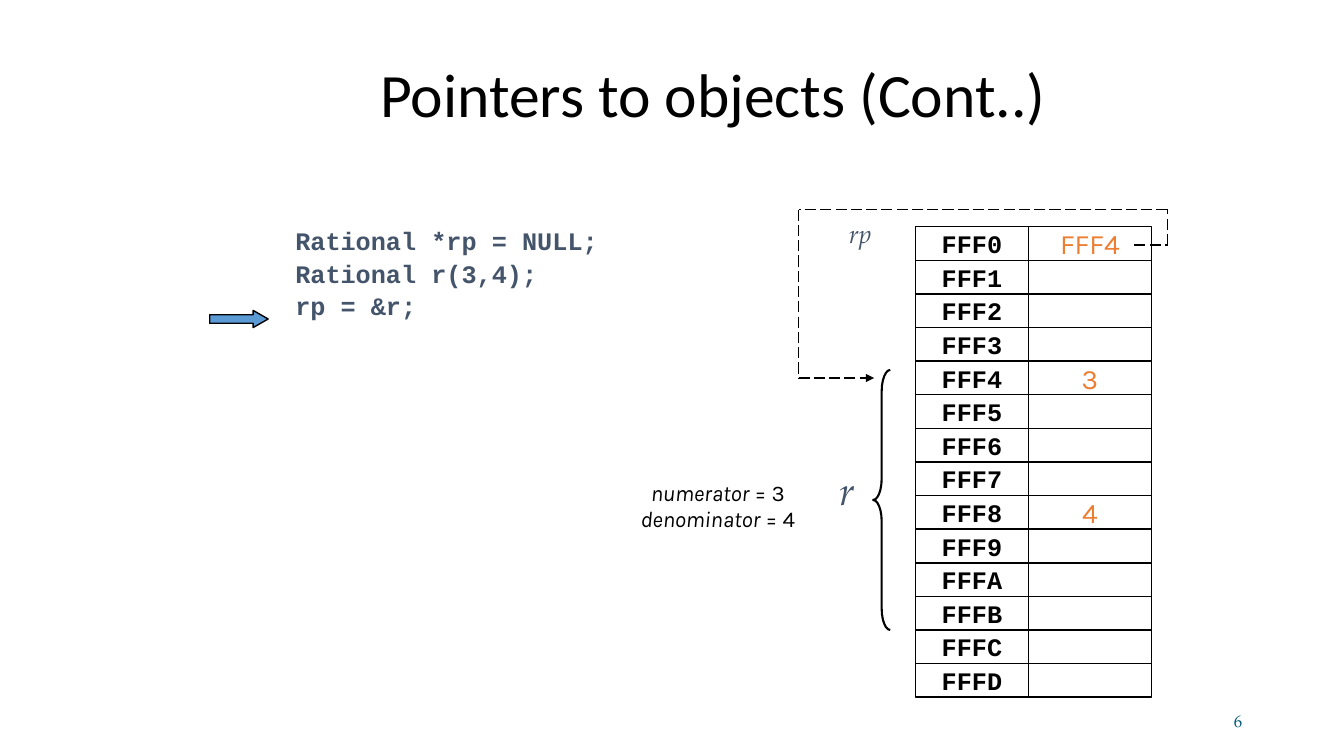
from dataclasses import dataclass
from typing import Optional

from pptx import Presentation
from pptx import util as u
from pptx.dml.color import RGBColor
from pptx.enum import dml, shapes, text
from pptx.oxml import ns, xmlchemy


@dataclass(frozen=True)
class Style:
    """Look of a piece of text."""
    font: str
    size: int
    color: str
    bold: Optional[bool] = None
    italic: Optional[bool] = None


@dataclass(frozen=True)
class Theme:
    """Colours and type styles of the slide."""
    line: str = "000000"
    arrow: str = "5B9BD5"
    title: Style = Style("Calibri", 44, "000000")
    number: Style = Style("TeX Gyre Pagella", 12, "045C75")
    code: Style = Style("Courier New", 18, "44546A", bold=True)
    address: Style = Style("Courier New", 18, "000000", bold=True)
    value: Style = Style("Karla", 20, "ED7D31")
    member: Style = Style("Karla", 16, "000000")
    variable: Style = Style("TeX Gyre Pagella", 28, "44546A", italic=True)
    pointer: Style = Style("TeX Gyre Pagella", 18, "44546A", italic=True)


@dataclass(frozen=True)
class Area:
    """Place of an object, in inches."""
    left: float
    top: float
    width: float
    height: float

    def lengths(self) -> tuple:
        """Give left, top, width and height as lengths."""
        return tuple(u.Inches(n) for n in (self.left, self.top, self.width, self.height))


THEME = Theme()
ADDRESSES = [f"FFF{digit:X}" for digit in range(14)]
VALUES = {"FFF0": "FFF4", "FFF4": "3", "FFF8": "4"}
MEMORY_TOP, ROW_HEIGHT = 2.25, 1 / 3
ADDRESS_LEFT, ADDRESS_WIDTH, VALUE_WIDTH = 9.08, 1.12, 1.22
CODE = ["Rational *rp = NULL;", "Rational r(3,4);", "rp = &r;"]
MEMBERS = {"numerator": " = 3", "denominator": " = 4"}
POINTER_ROUTE = [(11.25, 2.43), (11.58, 2.43), (11.58, 2.08),
                 (7.92, 2.08), (7.92, 3.75), (8.67, 3.75)]


def style_para(para, style: Style, align=text.PP_ALIGN.LEFT) -> None:
    """Apply a style and an alignment to a paragraph."""
    font = para.font
    font.name, font.size = style.font, u.Pt(style.size)
    font.bold, font.italic = style.bold, style.italic
    font.color.rgb = RGBColor.from_string(style.color)
    para.alignment = align


def add_label(page, area: Area, lines: list[str], style: Style,
              align=text.PP_ALIGN.LEFT, side_inset: float = 0.1):
    """Add a text box with one paragraph per line and return its frame."""
    frame = page.shapes.add_textbox(*area.lengths()).text_frame
    frame.word_wrap = True
    frame.margin_left = frame.margin_right = u.Inches(side_inset)
    frame.text = "\n".join(lines)
    for para in frame.paragraphs:
        style_para(para, style, align)
    return frame


def add_outline(page, kind, area: Area, width: float = 1, fill: Optional[str] = None):
    """Add a preset shape with a line and an optional fill."""
    shape = page.shapes.add_shape(kind, *area.lengths())
    shape.shadow.inherit = False
    shape.line.color.rgb = RGBColor.from_string(THEME.line)
    shape.line.width = u.Pt(width)
    if fill:
        shape.fill.solid()
        shape.fill.fore_color.rgb = RGBColor.from_string(fill)
    else:
        shape.fill.background()
    return shape


def add_cell(page, area: Area, content: str, style: Style) -> None:
    """Add one memory cell."""
    frame = add_outline(page, shapes.MSO_SHAPE.RECTANGLE, area).text_frame
    frame.word_wrap = False
    frame.vertical_anchor = text.MSO_ANCHOR.MIDDLE
    frame.text = content
    style_para(frame.paragraphs[0], style, text.PP_ALIGN.CENTER)


def add_memory(page) -> None:
    """Draw the memory cells, an address and a value on each row."""
    for row, address in enumerate(ADDRESSES):
        top = MEMORY_TOP + row * ROW_HEIGHT
        add_cell(page, Area(ADDRESS_LEFT + ADDRESS_WIDTH, top, VALUE_WIDTH, ROW_HEIGHT),
                 VALUES.get(address, ""), THEME.value)
        add_cell(page, Area(ADDRESS_LEFT, top, ADDRESS_WIDTH, ROW_HEIGHT),
                 address, THEME.address)


def add_pointer(page) -> None:
    """Draw the dashed route from the pointer to the object."""
    group = page.shapes.add_group_shape()
    for start, end in zip(POINTER_ROUTE, POINTER_ROUTE[1:]):
        link = group.shapes.add_connector(
            shapes.MSO_CONNECTOR.STRAIGHT, *(u.Inches(n) for n in start + end))
        link.line.color.rgb = RGBColor.from_string(THEME.line)
        link.line.width = u.Pt(1)
        link.line.dash_style = dml.MSO_LINE.LONG_DASH
        properties = link._element.spPr
        properties.append(xmlchemy.OxmlElement("a:effectLst"))
    head = xmlchemy.OxmlElement("a:tailEnd")
    head.set("type", "triangle")
    properties.find(ns.qn("a:ln")).append(head)


def add_title(page) -> None:
    """Fill and place the title."""
    title = page.shapes.title
    title.left, title.top, title.width, title.height = Area(3.67, 0.35, 7.42, 1.23).lengths()
    title.text_frame.text = "Pointers to objects (Cont..)"
    title.text_frame.vertical_anchor = text.MSO_ANCHOR.MIDDLE
    para = title.text_frame.paragraphs[0]
    style_para(para, THEME.title)
    para.line_spacing = 0.9


def add_code(page) -> None:
    """Add the code and the arrow at its current line."""
    frame = add_label(page, Area(2.83, 2.17, 4.92, 1.67), CODE, THEME.code)
    for para in frame.paragraphs:
        para.line_spacing = 1.07
        properties = para._p.get_or_add_pPr()
        properties.set("marL", str(u.Inches(0.38)))
        properties.set("indent", str(-u.Inches(0.38)))
    arrow = add_outline(page, shapes.MSO_SHAPE.RIGHT_ARROW,
                        Area(2.08, 3.08, 0.58, 0.17), fill=THEME.arrow)
    arrow.adjustments[1] = 0.875


def add_members(page) -> None:
    """Add the object's members and the brace over its bytes."""
    frame = add_label(page, Area(6.16, 4.7, 1.92, 0.64), list(MEMBERS),
                      THEME.member, text.PP_ALIGN.CENTER)
    for para, value in zip(frame.paragraphs, MEMBERS.values()):
        para.runs[0].font.italic = True
        para.add_run().text = value
    brace = add_outline(page, shapes.MSO_SHAPE.LEFT_BRACE, Area(8.66, 3.67, 0.17, 2.58), 1.5)
    brace.adjustments[0] = 1.25


def main() -> None:
    """Build the slide and save it."""
    deck = Presentation()
    deck.slide_width, deck.slide_height = u.Inches(13.33), u.Inches(7.5)
    page = deck.slides.add_slide(deck.slide_layouts[5])
    add_title(page)
    number = add_label(page, Area(9.42, 6.95, 3, 0.4), ["6"], THEME.number, text.PP_ALIGN.RIGHT)
    number.vertical_anchor = text.MSO_ANCHOR.MIDDLE
    add_code(page)
    add_memory(page)
    add_members(page)
    add_pointer(page)
    add_label(page, Area(8.33, 4.58, 0.33, 0.57), ["r"], THEME.variable, side_inset=0)
    add_label(page, Area(8.42, 2.12, 0.75, 0.4), ["rp"], THEME.pointer, side_inset=0)
    deck.save("out.pptx")


main()
